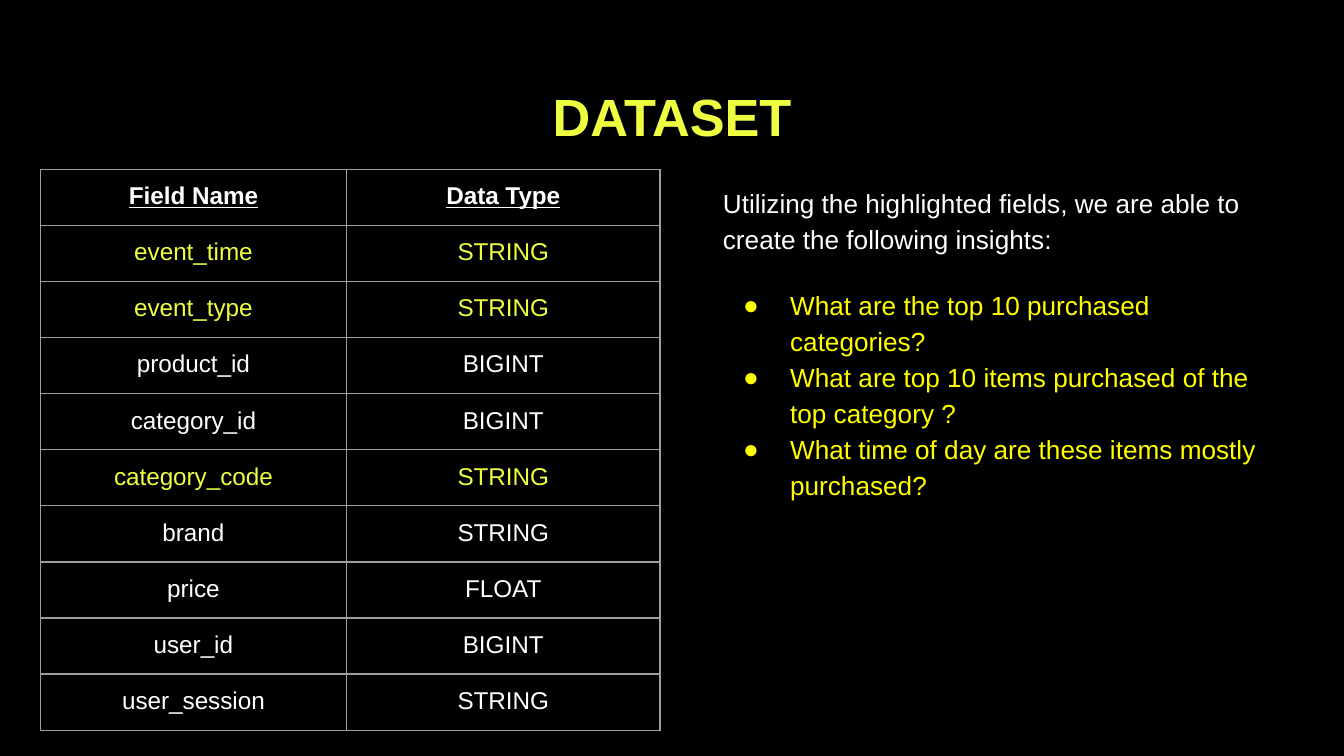
"""Build the dataset slide: a field table beside the insights it supports."""
from typing import NamedTuple

from lxml.etree import SubElement
from pptx import Presentation
from pptx.dml.color import RGBColor
from pptx.enum.text import PP_ALIGN
from pptx.oxml.ns import qn
from pptx.util import Pt

BLACK, WHITE, LIME, YELLOW, GREY = "000000", "FFFFFF", "EEFF41", "FFFF00", "9E9E9E"
INSET = Pt(7.2)


class Field(NamedTuple):
    name: str
    data_type: str
    color: str = WHITE
    header: bool = False


FIELDS = [
    Field("Field Name", "Data Type", header=True),
    Field("event_time", "STRING", LIME),
    Field("event_type", "STRING", LIME),
    Field("product_id", "BIGINT"),
    Field("category_id", "BIGINT"),
    Field("category_code", "STRING", LIME),
    Field("brand", "STRING"),
    Field("price", "FLOAT"),
    Field("user_id", "BIGINT"),
    Field("user_session", "STRING"),
]
INTRO = "Utilizing the highlighted fields, we are able to create the following insights:"
INSIGHTS = [
    "What are the top 10 purchased categories?",
    "What are top 10 items purchased of the top category ?",
    "What time of day are these items mostly purchased?",
]


def rgb(color: str) -> RGBColor:
    return RGBColor.from_string(color)


def style(p, size: float, color: str, bold: bool = False, underline: bool = False) -> None:
    for r in p.runs:
        r.font.name = "Arial"
        r.font.size = Pt(size)
        r.font.bold = bold
        r.font.underline = underline
        r.font.color.rgb = rgb(color)


def add_text(slide, left: float, top: float, width: float, height: float):
    tf = slide.shapes.add_textbox(Pt(left), Pt(top), Pt(width), Pt(height)).text_frame
    tf.word_wrap = True
    tf.margin_left = tf.margin_right = tf.margin_top = tf.margin_bottom = INSET
    return tf


def add_bullet(p, color: str) -> None:
    pPr = p._p.get_or_add_pPr()
    pPr.set("marL", str(Pt(36)))
    pPr.set("indent", str(-Pt(25.2)))
    SubElement(SubElement(pPr, qn("a:buClr")), qn("a:srgbClr"), val=color)
    SubElement(pPr, qn("a:buFont"), typeface="Arial")
    SubElement(pPr, qn("a:buChar"), char="●")


def add_borders(cell, color: str) -> None:
    tcPr = cell._tc.get_or_add_tcPr()
    for side in ("a:lnL", "a:lnR", "a:lnT", "a:lnB"):
        ln = SubElement(tcPr, qn(side), w=str(Pt(0.75)))
        SubElement(SubElement(ln, qn("a:solidFill")), qn("a:srgbClr"), val=color)


def add_field_table(slide) -> None:
    widths, row_height = (164, 168), 28.9
    table = slide.shapes.add_table(
        len(FIELDS), len(widths), Pt(21.6), Pt(90.7),
        Pt(sum(widths)), Pt(row_height * len(FIELDS))).table
    for column, width in zip(table.columns, widths):
        column.width = Pt(width)
    for i, field in enumerate(FIELDS):
        table.rows[i].height = Pt(row_height)
        for j, text in enumerate((field.name, field.data_type)):
            cell = table.cell(i, j)
            cell.margin_left = cell.margin_right = INSET
            cell.margin_top = cell.margin_bottom = INSET
            add_borders(cell, GREY)
            cell.fill.solid()
            cell.fill.fore_color.rgb = rgb(BLACK)
            p = cell.text_frame.paragraphs[0]
            p.text = text
            p.alignment = PP_ALIGN.CENTER
            style(p, 13, field.color, field.header, field.header)


def add_title(slide) -> None:
    tf = add_text(slide, 24.5, 35.3, 671, 45.4)
    tf.margin_top = Pt(9.9)
    p = tf.paragraphs[0]
    p.text = "DATASET"
    p.alignment = PP_ALIGN.CENTER
    style(p, 28, LIME, bold=True)


def add_insights(slide) -> None:
    tf = add_text(slide, 380.2, 90.7, 314.6, 269.3)
    tf.text = "\n".join([INTRO, *INSIGHTS])
    intro, *insights = tf.paragraphs
    style(intro, 14, WHITE)
    for p in insights:
        style(p, 14, YELLOW)
    for p in tf.paragraphs:
        p.line_spacing = 1.15
    insights[0].space_before = Pt(16)
    for p in insights:
        add_bullet(p, YELLOW)


def main() -> None:
    prs = Presentation()
    prs.slide_width, prs.slide_height = Pt(720), Pt(405)
    s = prs.slides.add_slide(prs.slide_layouts[6])
    s.background.fill.solid()
    s.background.fill.fore_color.rgb = rgb(BLACK)
    add_title(s)
    add_insights(s)
    add_field_table(s)
    prs.save("out.pptx")


main()
